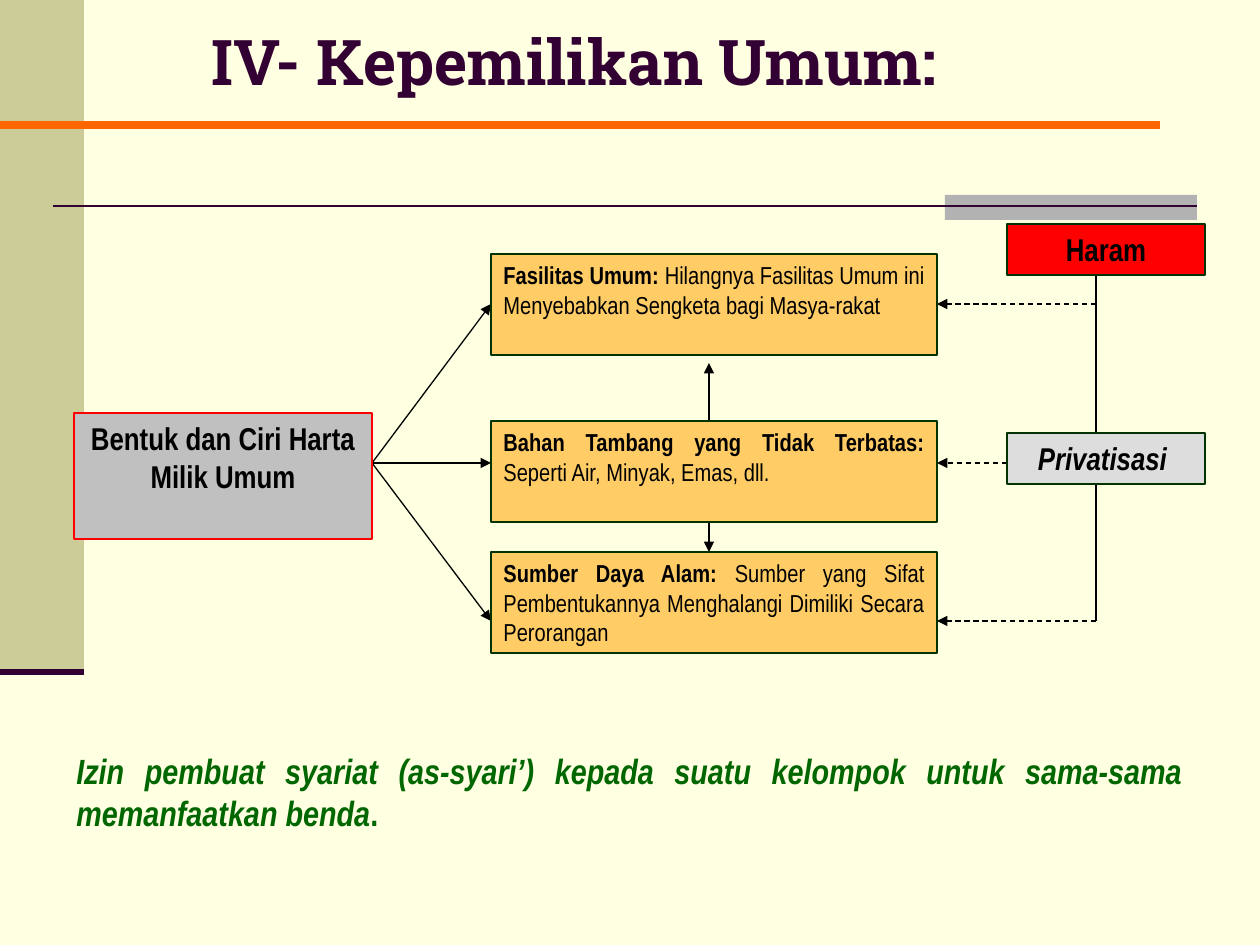
from lxml import etree
from pptx import Presentation
from pptx import util as u
from pptx.dml.color import RGBColor
from pptx.enum import dml, shapes, text
from pptx.oxml.ns import qn

PX = 914400 / 126

CREAM = RGBColor(0xFF, 0xFF, 0xE1)
OLIVE = RGBColor(0xCC, 0xCC, 0x99)
ASH = RGBColor(0xB2, 0xB2, 0xB2)
SILVER = RGBColor(0xC0, 0xC0, 0xC0)
PALE = RGBColor(0xDD, 0xDD, 0xDD)
PLUM = RGBColor(0x33, 0x00, 0x33)
ORANGE = RGBColor(0xFF, 0x66, 0x00)
GOLD = RGBColor(0xFF, 0xCC, 0x66)
RED = RGBColor(0xFF, 0x00, 0x00)
PINE = RGBColor(0x00, 0x33, 0x00)
GREEN = RGBColor(0x00, 0x66, 0x00)
BLACK = RGBColor(0, 0, 0)

BODY, HEAD = "Arial Narrow", "Roboto Slab"
LEFT, MID, JUST = (text.PP_ALIGN.LEFT, text.PP_ALIGN.CENTER,
                   text.PP_ALIGN.JUSTIFY)

# Runs are (words, style), where style holds "b" for bold and "i" for italic.
TITLE = [("IV- Kepemilikan Umum:", "b")]
NOTE = [("Izin pembuat syariat (as-syari’) kepada suatu kelompok untuk "
         "sama-sama memanfaatkan benda", "bi"), (".", "b")]
ROOT = [("Bentuk dan Ciri Harta Milik Umum", "b")]
KINDS = [
    (254, "Fasilitas Umum: ",
     "Hilangnya Fasilitas Umum ini Menyebabkan Sengketa bagi Masya-rakat"),
    (421, "Bahan Tambang yang Tidak Terbatas: ",
     "Seperti Air, Minyak, Emas, dll."),
    (552, "Sumber Daya Alam: ",
     "Sumber yang Sifat Pembentukannya Menghalangi Dimiliki Secara "
     "Perorangan"),
]
TAGS = [(433, PALE, [("Privatisasi ", "bi")]), (224, RED, [("Haram", "b")])]

# Edges of the diagram
ROOT_X, ROOT_W = 74, 298
KIND_X, KIND_W, KIND_H = 491, 446, 101
TAG_X, TAG_W, TAG_H = 1007, 198, 51
ROOT_R, KIND_R = ROOT_X + ROOT_W, KIND_X + KIND_W
AXIS, TRUNK = 709, 1096
ROWS = TOP, CENTRE, LOW = 304, 463, 621

deck = Presentation()
deck.slide_width, deck.slide_height = u.Inches(10), u.Inches(7.5)
slide = deck.slides.add_slide(deck.slide_layouts[6])
slide.background.fill.solid()
slide.background.fill.fore_color.rgb = CREAM


def emu(*px):
    return [round(n * PX) for n in px]


def rect(box, fill, edge=None):
    shape = slide.shapes.add_shape(shapes.MSO_SHAPE.RECTANGLE, *emu(*box))
    shape.shadow.inherit = False
    shape.fill.solid()
    shape.fill.fore_color.rgb = fill
    if edge is None:
        shape.line.fill.background()
    else:
        shape.line.color.rgb = edge
        shape.line.width = u.Pt(0.75)
    return shape


def line(start, end, color=BLACK, width=0.75, tips=(), dash=False):
    """Draw a straight line; tips names the ends that carry an arrowhead."""
    link = slide.shapes.add_connector(
        shapes.MSO_CONNECTOR.STRAIGHT, *emu(*start, *end))
    link.line.color.rgb = color
    link.line.width = u.Pt(width)
    if dash:
        link.line.dash_style = dml.MSO_LINE.DASH
    pen = link.line._get_or_add_ln()
    for tip in tips:
        etree.SubElement(pen, qn("a:" + tip), type="triangle")
    etree.SubElement(link._element.spPr, qn("a:effectLst"))


def write(shape, runs, size, align, color=BLACK, font=BODY):
    frame = shape.text_frame
    frame.word_wrap = True
    frame.vertical_anchor = text.MSO_ANCHOR.TOP
    para = frame.paragraphs[0]
    para.alignment = align
    for words, style in runs:
        run = para.add_run()
        run.text = words
        run.font.name = font
        run.font.size = u.Pt(size)
        run.font.color.rgb = color
        run.font.bold = "b" in style
        run.font.italic = "i" in style


def label(box, *args):
    write(slide.shapes.add_textbox(*emu(*box)), *args)


# Backdrop
rect((0, 0, 84, 672), OLIVE)
rect((945, 195, 252, 25), ASH)
line((53, 206), (1197, 206), PLUM, 1.5)
line((0, 672), (84, 672), PLUM, 3.5)
line((-5, 125), (1160, 125), ORANGE, 4.5)

label((199, 16, 978, 100), TITLE, 36, LEFT, PLUM, HEAD)
label((64, 743, 1131, 97), NOTE, 20, JUST, GREEN)

# Links
line((AXIS, 363), (AXIS, KINDS[-1][0]), tips=("headEnd", "tailEnd"))
line((TRUNK, 224 + TAG_H), (TRUNK, LOW))
for y in ROWS:
    line((ROOT_R, CENTRE), (KIND_X, y), tips=["tailEnd"])
    start = TAG_X if y == CENTRE else TRUNK
    line((start, y), (KIND_R, y), tips=["tailEnd"], dash=True)

# Boxes
write(rect((ROOT_X, 413, ROOT_W, 126), SILVER, RED), ROOT, 18, MID)
for y, name, about in KINDS:
    write(rect((KIND_X, y, KIND_W, KIND_H), GOLD, PINE),
          [(name, "b"), (about, "")], 14, JUST)
for y, fill, runs in TAGS:
    write(rect((TAG_X, y, TAG_W, TAG_H), fill, PINE), runs, 18, MID)

deck.save("out.pptx")
